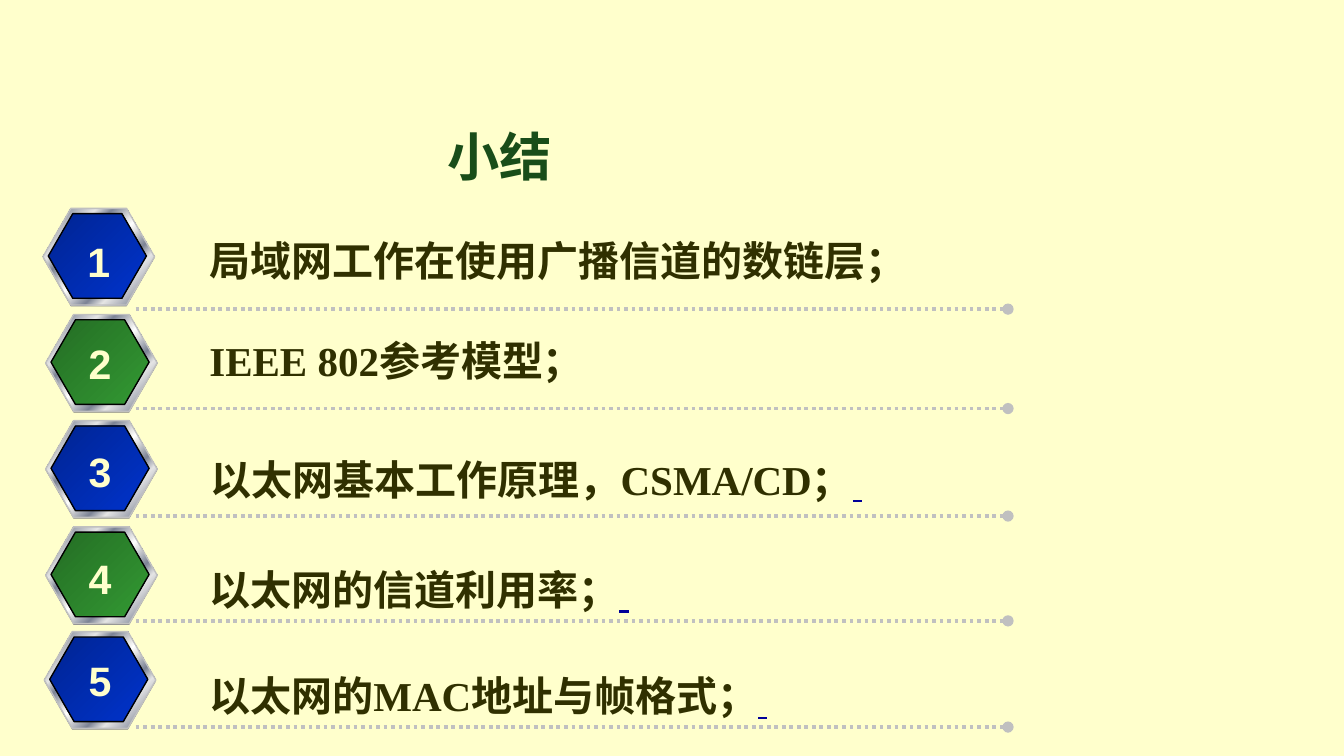
from dataclasses import dataclass

from pptx import Presentation
from pptx.dml.color import RGBColor
from pptx.enum.dml import MSO_LINE
from pptx.enum.shapes import MSO_CONNECTOR, MSO_SHAPE
from pptx.enum.text import MSO_ANCHOR as Anchor, MSO_AUTO_SIZE as AutoSize, PP_ALIGN as Align
from pptx.oxml.ns import qn
from pptx.util import Pt
from lxml.etree import SubElement

EMU_PER_PX = 9144  # 100 px to the inch

CREAM = RGBColor(0xFF, 0xFF, 0xCC)
DARK_GREEN = RGBColor(0x19, 0x4D, 0x19)
OLIVE = RGBColor(0x30, 0x30, 0x00)
LINK_BLUE = RGBColor(0x00, 0x00, 0x99)
BLACK = RGBColor(0x00, 0x00, 0x00)
GRAY = RGBColor(0x80, 0x80, 0x80)
SILVER = RGBColor(0xC0, 0xC0, 0xC0)
LIGHT = RGBColor(0xE6, 0xE6, 0xE6)
STEEL = RGBColor(0x7D, 0x84, 0x96)
WHITE = RGBColor(0xFF, 0xFF, 0xFF)

Stops = list[tuple[int, RGBColor]]
BLUE_FADE: Stops = [(0, RGBColor(0x00, 0x24, 0x92)), (100, RGBColor(0x00, 0x33, 0xCC))]
GREEN_FADE: Stops = [(0, RGBColor(0x24, 0x6D, 0x24)), (100, RGBColor(0x33, 0x99, 0x33))]
METAL: Stops = [
    (0, LIGHT), (8, STEEL), (26, LIGHT), (34, STEEL), (46, LIGHT), (50, WHITE),
    (54, LIGHT), (66, STEEL), (74, LIGHT), (92, STEEL), (100, LIGHT),
]


@dataclass
class Item:
    text: str
    badge_left: int
    badge_top: int
    number_left: int
    number_top: int
    text_left: int
    text_top: int
    text_width: int
    rule_y: int
    wrap: bool = True  # wrapped items end in an underlined space


ITEMS = [
    Item("局域网工作在使用广播信道的数链层；", 32, 155, 55, 171, 146, 170, 545, 230, False),
    Item("IEEE 802参考模型；", 34, 234, 56, 247, 146, 245, 310, 304, False),
    Item("以太网基本工作原理，CSMA/CD；", 34, 313, 56, 327, 147, 333, 613, 384),
    Item("以太网的信道利用率；", 34, 392, 56, 407, 146, 415, 528, 462),
    Item("以太网的MAC地址与帧格式；", 33, 470, 56, 483, 146, 494, 528, 541),
]


def px(length: int) -> int:
    return length * EMU_PER_PX


def add_text(page, left: int, top: int, width: int, height: int, text: str, size: int,
             font: str, color: RGBColor, align: Align = Align.LEFT, wrap: bool = False,
             auto_size: AutoSize = AutoSize.SHAPE_TO_FIT_TEXT):
    box = page.shapes.add_textbox(px(left), px(top), px(width), px(height))
    frame = box.text_frame
    frame.word_wrap = wrap
    frame.auto_size = auto_size
    frame.vertical_anchor = Anchor.MIDDLE if auto_size == AutoSize.NONE else Anchor.TOP
    para = frame.paragraphs[0]
    para.alignment = align
    para.font.size, para.font.name, para.font.bold = Pt(size), font, True
    para.font.color.rgb = color
    para.add_run().text = text
    return para


def fill_gradient(shape, stops: Stops) -> None:
    shape.fill.gradient()
    shape.fill.gradient_angle = 315
    stop_list = shape.element.spPr.find(qn("a:gradFill")).find(qn("a:gsLst"))
    for old_stop in list(stop_list):
        stop_list.remove(old_stop)
    for position, color in stops:
        stop = SubElement(stop_list, qn("a:gs"), pos=str(position * 1000))
        SubElement(stop, qn("a:srgbClr"), val=str(color))


def add_hexagon(group, left: int, top: int, width: int, height: int):
    shape = group.shapes.add_shape(MSO_SHAPE.HEXAGON, px(left), px(top), px(width), px(height))
    shape.adjustments[0] = 0.289
    shape.shadow.inherit = False
    return shape


def outline(shape, color: RGBColor) -> None:
    shape.line.color.rgb = color
    shape.line.width = Pt(0.75)


def add_badge(page, left: int, top: int, face_stops: Stops) -> None:
    group = page.shapes.add_group_shape()
    shade = add_hexagon(group, left, top + 1, 83, 72)
    shade.fill.solid()
    shade.fill.fore_color.rgb = GRAY
    shade.line.fill.background()
    rim = add_hexagon(group, left, top, 83, 72)
    fill_gradient(rim, METAL)
    outline(rim, SILVER)
    face = add_hexagon(group, left + 4, top + 4, 73, 63)
    fill_gradient(face, face_stops)
    outline(face, BLACK)


def add_rule(page, y: int) -> None:
    rule = page.shapes.add_connector(MSO_CONNECTOR.STRAIGHT, px(101), px(y), px(750), px(y))
    rule.line.color.rgb = SILVER
    rule.line.width = Pt(2)
    rule.line.dash_style = MSO_LINE.ROUND_DOT
    properties = rule.element.spPr
    SubElement(properties.find(qn("a:ln")), qn("a:tailEnd"), type="oval")
    SubElement(properties, qn("a:effectLst"))


def add_item(page, number: int, item: Item) -> None:
    add_badge(page, item.badge_left, item.badge_top, BLUE_FADE if number % 2 else GREEN_FADE)
    add_rule(page, item.rule_y)
    para = add_text(page, item.text_left, item.text_top, item.text_width, 47, item.text,
                    22, "Times New Roman", OLIVE, wrap=item.wrap)
    if item.wrap:
        span = para.add_run()
        span.text = " "
        span.font.underline = True
        span.font.color.rgb = LINK_BLUE
    add_text(page, item.number_left, item.number_top, 37, 47, str(number),
             22, "Arial", CREAM, Align.CENTER)


def main() -> None:
    deck = Presentation()
    deck.slide_width = px(1000)
    deck.slide_height = deck.slide_width * 9 // 16
    page = deck.slides.add_slide(deck.slide_layouts[6])
    page.background.fill.solid()
    page.background.fill.fore_color.rgb = CREAM

    # Title
    add_text(page, 20, 69, 703, 94, "小结", 28, "Arial", DARK_GREEN, Align.CENTER,
             wrap=True, auto_size=AutoSize.NONE)

    # Numbered summary
    for number, item in enumerate(ITEMS, start=1):
        add_item(page, number, item)

    deck.save("out.pptx")


if __name__ == "__main__":
    main()
